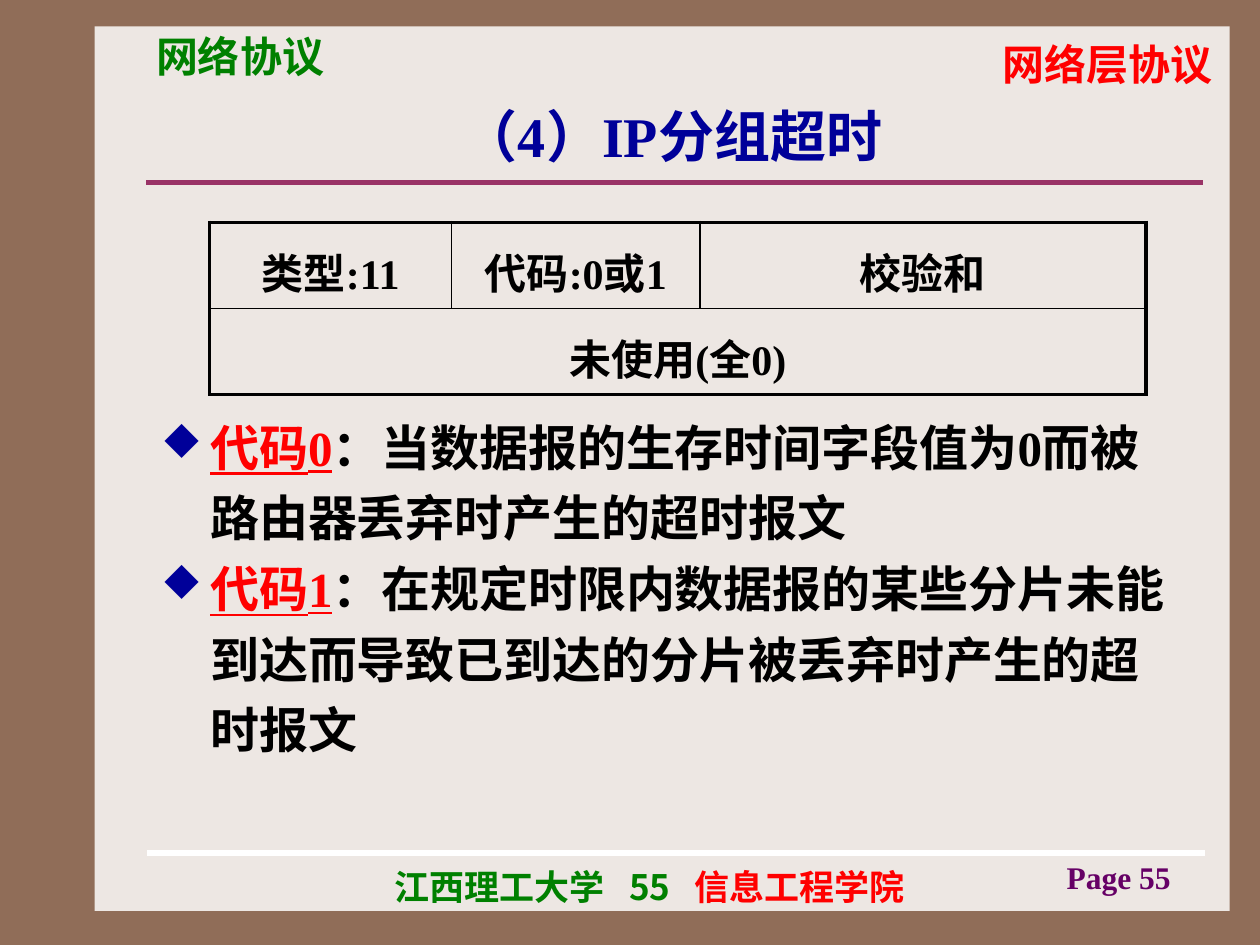
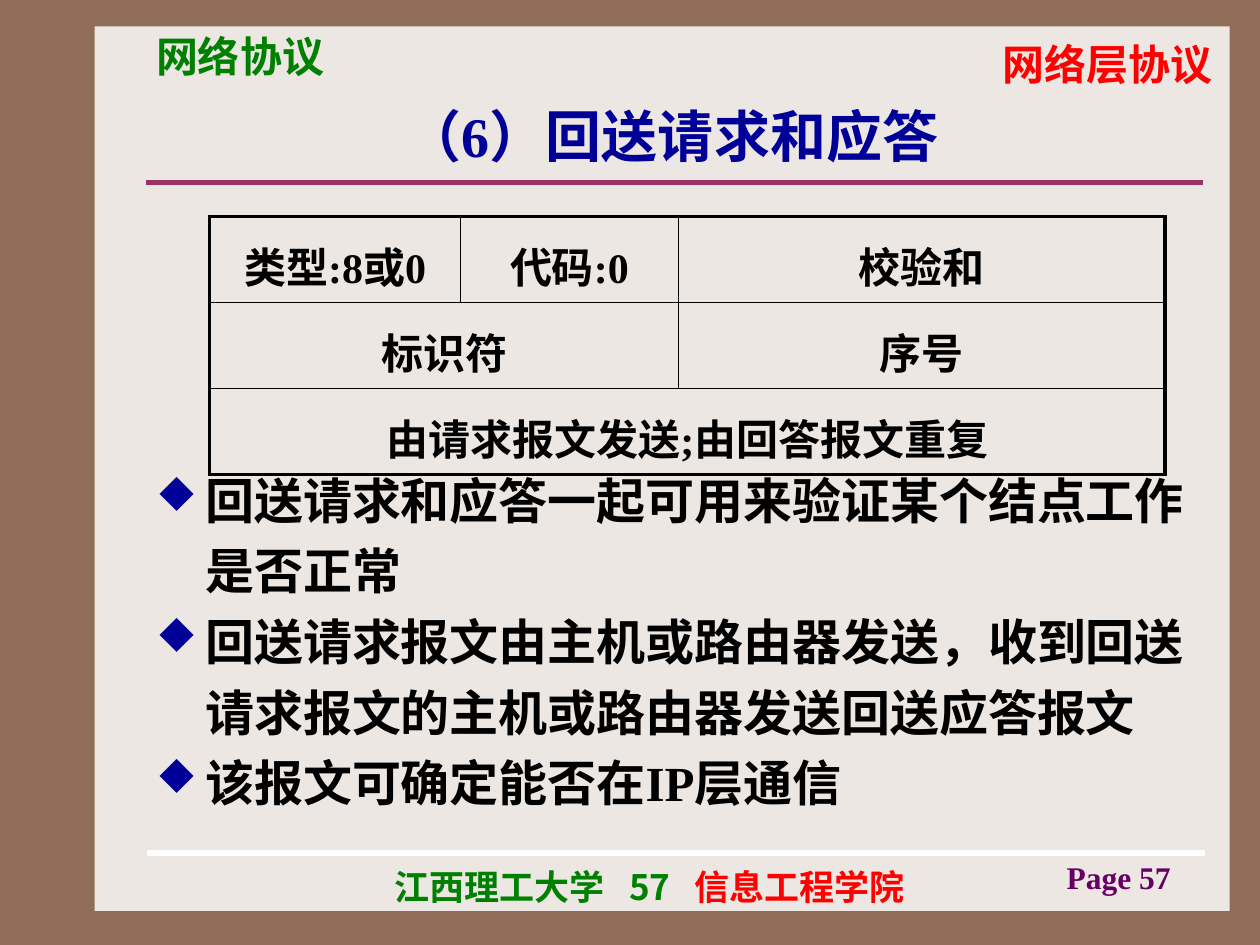
from dataclasses import dataclass
from typing import NamedTuple

import pptx
import pptx.dml.color
import pptx.enum.lang
import pptx.enum.shapes
import pptx.enum.text
import pptx.oxml
import pptx.oxml.ns
import pptx.util
from lxml import etree

COLORS = {
    "frame": "906D58", "paper": "EDE7E3", "red": "FF0000", "green": "008000",
    "rule": "993366", "white": "FFFFFF", "page": "660066", "navy": "000099",
    "black": "000000",
}
SERIF, SANS, CJK = "Times New Roman", "Arial", "Noto Sans CJK SC"
ALIGN = pptx.enum.text.PP_ALIGN
ANCHOR = pptx.enum.text.MSO_ANCHOR

# Grid: 100 columns by 75 rows over the slide
WIDTH, HEIGHT = pptx.util.Inches(10), pptx.util.Inches(7.5)
COLUMN, ROW = WIDTH / 100, HEIGHT / 75
TABLE_ROW = 6.82
HANGING = 3.9
LINE_SPACING = 1.2
OUTER, INNER = 2.25, 1


class Area(NamedTuple):
    left: float
    top: float
    width: float
    height: float

    def emu(self) -> tuple[int, ...]:
        units = (COLUMN, ROW, COLUMN, ROW)
        return tuple(round(length * unit) for length, unit in zip(self, units))


class Span(NamedTuple):
    text: str
    color: str = "black"
    underline: bool = False


class Field(NamedTuple):
    text: str
    columns: int = 1


@dataclass
class Label:
    area: Area
    spans: list[Span]
    size: float
    font: str
    align: ALIGN = ALIGN.LEFT
    anchor: ANCHOR = ANCHOR.TOP
    tabs: tuple[float, ...] = ()


@dataclass
class Rule:
    left: float
    right: float
    top: float
    color: str


@dataclass
class Topic:
    number: int
    title: str
    table_left: float
    table_top: float
    widths: list[float]
    fields: list[list[Field]]
    body: Area
    points: list[list[Span]]


RULES = [Rule(11.6, 95.5, 14.5, "rule"), Rule(11.7, 95.6, 67.7, "white")]

TOPICS = [
    Topic(
        55, "（4）IP分组超时", 16.65, 17.65, [19.2, 19.7, 35.4],
        [[Field("类型:11"), Field("代码:0或1"), Field("校验和")],
         [Field("未使用(全0)", 3)]],
        Area(11.8, 31.7, 82.7, 33.8),
        [[Span("代码0", "red", True),
          Span("：当数据报的生存时间字段值为0而被路由器丢弃时产生的超时报文")],
         [Span("代码1", "red", True),
          Span("：在规定时限内数据报的某些分片未能到达而导致已到达的分片被丢弃时产生的超时报文")]],
    ),
    Topic(
        57, "（6）回送请求和应答", 16.65, 17.2, [19.9, 17.3, 38.6],
        [[Field("类型:8或0"), Field("代码:0"), Field("校验和")],
         [Field("标识符", 2), Field("序号")],
         [Field("由请求报文发送;由回答报文重复", 3)]],
        Area(11.4, 35.9, 85.1, 32.3),
        [[Span("回送请求和应答一起可用来验证某个结点工作是否正常")],
         [Span("回送请求报文由主机或路由器发送，收到回送请求报文的主机或路由器发送回送应答报文")],
         [Span("该报文可确定能否在IP层通信")]],
    ),
]


def rgb(name: str) -> pptx.dml.color.RGBColor:
    return pptx.dml.color.RGBColor.from_string(COLORS[name])


def add_element(parent, tag: str, **attributes):
    values = {key: str(value) for key, value in attributes.items()}
    return etree.SubElement(parent, pptx.oxml.ns.qn(tag), values)


def write(para, text: str, *, size: float, font: str = SERIF,
          color: str = "black", underline: bool = False) -> None:
    """Append bold text in the given format to a paragraph."""
    span = para.add_run()
    span.text = text
    span.font.size = pptx.util.Pt(size)
    span.font.bold = True
    span.font.underline = underline
    span.font.name = font
    span.font.color.rgb = rgb(color)
    span.font.language_id = pptx.enum.lang.MSO_LANGUAGE_ID.SIMPLIFIED_CHINESE
    add_element(span.font._element, "a:ea", typeface=CJK)


def add_text_frame(page, area: Area):
    frame = page.shapes.add_textbox(*area.emu()).text_frame
    frame.word_wrap = True
    return frame


def draw_label(page, label: Label) -> None:
    frame = add_text_frame(page, label.area)
    frame.vertical_anchor = label.anchor
    para = frame.paragraphs[0]
    para.alignment = label.align
    if label.tabs:
        stops = add_element(para._p.get_or_add_pPr(), "a:tabLst")
        for stop in label.tabs:
            add_element(stops, "a:tab", pos=round(stop * COLUMN), algn="l")
    for span in label.spans:
        write(para, span.text, size=label.size, font=label.font, color=span.color)


def draw_rule(page, rule: Rule) -> None:
    start, top, width, _ = Area(rule.left, rule.top, rule.right - rule.left, 0).emu()
    line = page.shapes.add_connector(
        pptx.enum.shapes.MSO_CONNECTOR.STRAIGHT, start, top, start + width, top)
    line.line.color.rgb = rgb(rule.color)
    line.line.width = pptx.util.Pt(3)
    add_element(line._element.spPr, "a:effectLst")


def draw_shared(page, topic: Topic) -> None:
    """Frame, headings, rules and footer."""
    page.background.fill.solid()
    page.background.fill.fore_color.rgb = rgb("frame")
    paper = page.shapes.add_shape(
        pptx.enum.shapes.MSO_SHAPE.RECTANGLE, *Area(7.5, 2.1, 90.1, 70.2).emu())
    paper.shadow.inherit = False
    paper.fill.solid()
    paper.fill.fore_color.rgb = rgb("paper")
    paper.line.fill.background()

    labels = [
        Label(Area(50.8, 2.55, 46.4, 5), [Span("网络层协议", "red")], 24, SANS, ALIGN.RIGHT),
        Label(Area(11.4, 1.9, 26, 5), [Span("网络协议", "green")], 24, SANS),
        Label(Area(30.3, 68.2, 44.1, 4.3),
              [Span(f"江西理工大学\t{topic.number}\t", "green"), Span("信息工程学院", "red")],
              20, CJK, tabs=(18.65, 23.8)),
        Label(Area(79.8, 67.6, 14.1, 3.5), [Span(f"Page {topic.number}", "page")],
              18, SERIF, ALIGN.RIGHT),
        Label(Area(11.7, 7.5, 83.3, 6.4), [Span(topic.title, "navy")],
              32, SERIF, ALIGN.CENTER, ANCHOR.MIDDLE),
    ]
    for label in labels:
        draw_label(page, label)
    for rule in RULES:
        draw_rule(page, rule)


def set_borders(cell, borders: dict[str, float]) -> None:
    """Border widths in points, keyed by side and listed in L, R, T, B order."""
    properties = cell._tc.get_or_add_tcPr()
    for position, (side, points) in enumerate(borders.items()):
        line = add_element(properties, f"a:ln{side}", w=pptx.util.Pt(points))
        fill = add_element(line, "a:solidFill")
        add_element(fill, "a:srgbClr", val=COLORS["black"])
        properties.insert(position, line)


def draw_fields(page, topic: Topic) -> None:
    """Message format table."""
    row_count, column_count = len(topic.fields), len(topic.widths)
    area = Area(topic.table_left, topic.table_top, sum(topic.widths), row_count * TABLE_ROW)
    table = page.shapes.add_table(row_count, column_count, *area.emu()).table
    table.first_row = table.horz_banding = False
    style = table._tbl.tblPr.find(pptx.oxml.ns.qn("a:tableStyleId"))
    style.text = "{2D5ABB26-0587-4C30-8999-92F81FD0307C}"
    for column, width in zip(table.columns, topic.widths):
        column.width = round(width * COLUMN)

    for row, fields in enumerate(topic.fields):
        table.rows[row].height = round(TABLE_ROW * ROW)
        start = 0
        for field in fields:
            end = start + field.columns
            borders = {
                "L": INNER if start else OUTER,
                "R": OUTER if end == column_count else INNER,
                "T": INNER if row else OUTER,
                "B": OUTER if row == row_count - 1 else INNER,
            }
            for column in range(start, end):
                cell = table.cell(row, column)
                cell.fill.background()
                sides = "LRTB" if column == start else "RTB" if column == end - 1 else "TB"
                set_borders(cell, {side: borders[side] for side in sides})
            origin = table.cell(row, start)
            if field.columns > 1:
                origin.merge(table.cell(row, end - 1))
            para = origin.text_frame.paragraphs[0]
            para.alignment = ALIGN.CENTER
            para.line_spacing = LINE_SPACING
            write(para, field.text, size=24)
            start = end


def draw_points(page, topic: Topic) -> None:
    """Bulleted explanation."""
    frame = add_text_frame(page, topic.body)
    for index, spans in enumerate(topic.points):
        para = frame.add_paragraph() if index else frame.paragraphs[0]
        properties = para._p.get_or_add_pPr()
        indent = round(HANGING * COLUMN)
        properties.set("marL", str(indent))
        properties.set("indent", str(-indent))
        color = add_element(properties, "a:buClr")
        add_element(color, "a:srgbClr", val=COLORS["navy"])
        add_element(properties, "a:buSzPct", val=85000)
        add_element(properties, "a:buFont", typeface="Wingdings", charset=2)
        add_element(properties, "a:buChar", char="u")
        para.line_spacing = LINE_SPACING
        for span in spans:
            write(para, span.text, size=28, color=span.color, underline=span.underline)


def main() -> None:
    deck = pptx.Presentation()
    deck.slide_width, deck.slide_height = WIDTH, HEIGHT
    for topic in TOPICS:
        page = deck.slides.add_slide(deck.slide_layouts[6])
        draw_shared(page, topic)
        draw_points(page, topic)
        draw_fields(page, topic)
    deck.save("out.pptx")


if __name__ == "__main__":
    main()
